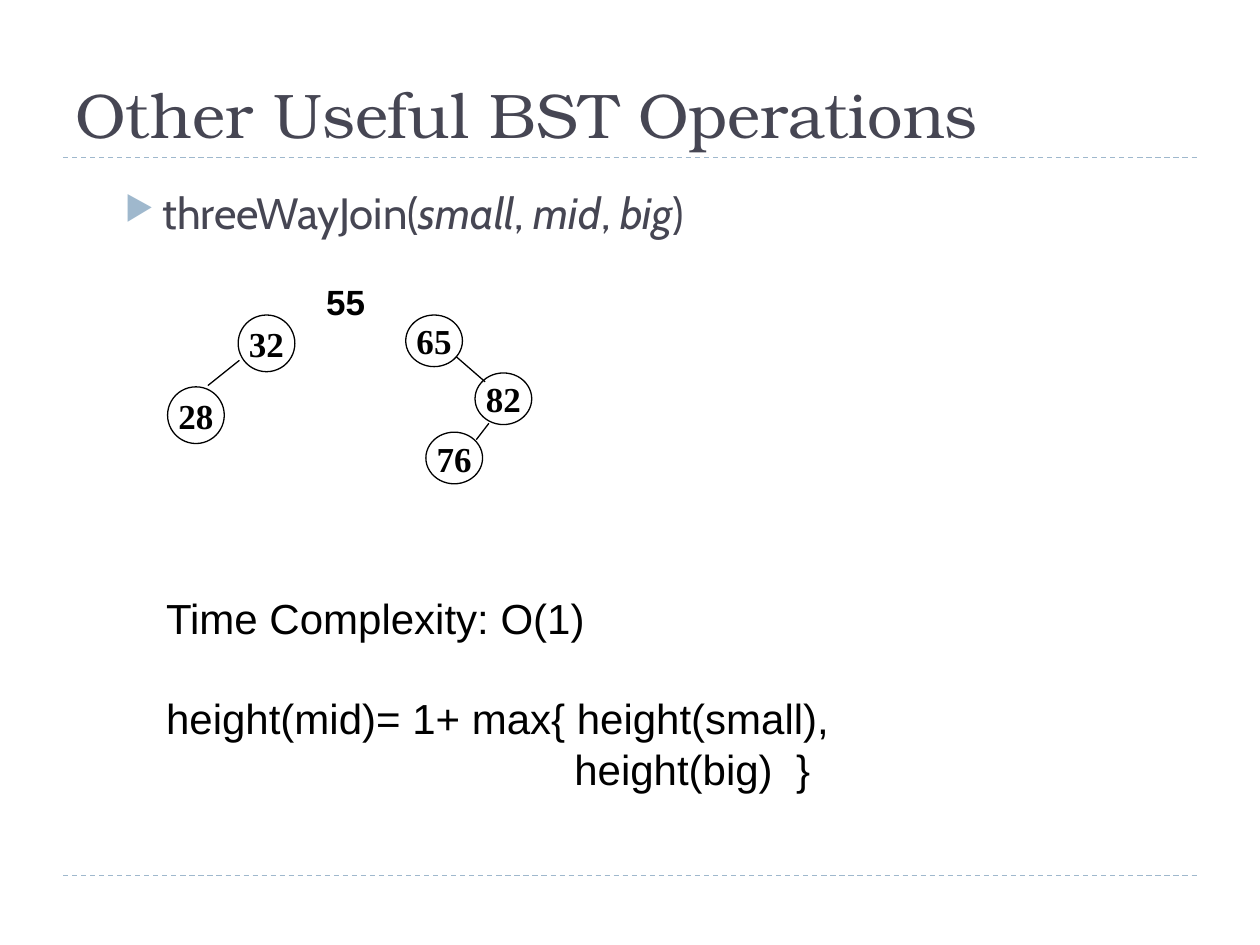
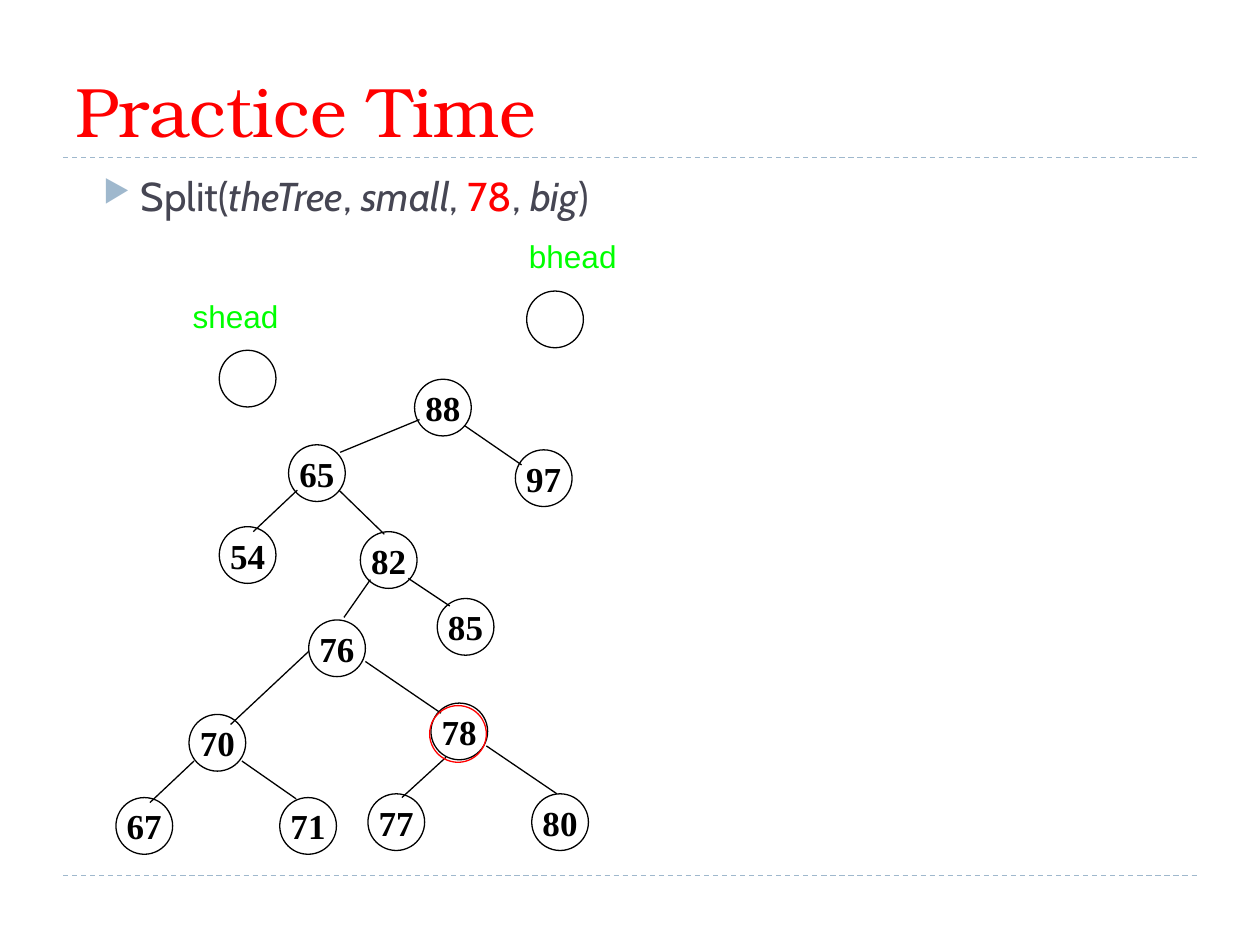
from typing import NamedTuple

from lxml.etree import SubElement as Sub
from pptx import Presentation
from pptx.dml.color import RGBColor as Rgb
from pptx.enum.dml import MSO_LINE as Dash
from pptx.enum.shapes import MSO_CONNECTOR as Link, MSO_SHAPE as Form
from pptx.enum.text import MSO_ANCHOR as Anchor, PP_ALIGN as Align
from pptx.oxml.ns import qn
from pptx.util import Inches, Pt

COLORS = {
    "ink": "464653",
    "rule": "9FB8CD",
    "black": "000000",
    "red": "FF0000",
    "green": "00FF00",
}
SERIF, SANS, PLAIN, ROMAN = "TeX Gyre Bonum", "Cabin", "Arial", "Times New Roman"
SIDE = 0.45


class Node(NamedTuple):
    label: str
    x: float
    y: float
    high: float = SIDE
    color: str = "black"


class Edge(NamedTuple):
    x1: float
    y1: float
    x2: float
    y2: float


class Label(NamedTuple):
    text: str
    x: float
    y: float
    wide: float
    high: float


SMALL = (
    [Node("32", 1.89, 2.5), Node("28", 1.33, 3.07)],
    [Edge(1.9, 2.86, 1.65, 3.06)],
)
BIG = (
    [Node("65", 3.22, 2.5, 0.41), Node("76", 3.38, 3.43, 0.41),
     Node("82", 3.77, 2.96, 0.41)],
    [Edge(3.62, 2.83, 3.85, 3.03), Edge(3.88, 3.36, 3.78, 3.49)],
)
SPLIT = (
    [Node("", 4.18, 2.31), Node("", 1.74, 2.78),
     Node("88", 3.29, 3.01), Node("65", 2.29, 3.53), Node("97", 4.09, 3.57),
     Node("54", 1.74, 4.18), Node("82", 2.86, 4.22), Node("85", 3.47, 4.75),
     Node("76", 2.45, 4.92), Node("78", 3.42, 5.58), Node("70", 1.5, 5.67),
     Node("67", 0.92, 6.33), Node("71", 2.22, 6.33),
     Node("77", 2.92, 6.3), Node("80", 4.22, 6.3),
     Node("", 3.41, 5.6, color="red")],
    [Edge(3.33, 3.33, 2.7, 3.59), Edge(3.69, 3.38, 4.14, 3.69),
     Edge(2.69, 3.89, 3.05, 4.24), Edge(2.36, 3.89, 2.01, 4.22),
     Edge(2.94, 4.6, 2.73, 4.9), Edge(3.24, 4.59, 3.57, 4.81),
     Edge(2.9, 5.25, 3.5, 5.66), Edge(2.45, 5.17, 1.83, 5.75),
     Edge(1.92, 6.04, 2.35, 6.34), Edge(1.54, 6.04, 1.19, 6.37),
     Edge(3.86, 5.92, 4.42, 6.3), Edge(3.54, 6.01, 3.19, 6.33)],
)
HEADS = [Label("bhead", 4.1, 1.83, 0.9, 0.4), Label("shead", 1.43, 2.31, 0.89, 0.41)]


def tint(name: str) -> Rgb:
    return Rgb.from_string(COLORS[name])


def write(para, text: str, *, font: str = PLAIN, size: float = 24,
          color: str = "black", bold: bool = False) -> None:
    """Asterisks enclose italic text, carets enclose red text."""
    for i, piece in enumerate(text.split("*")):
        for j, bit in enumerate(piece.split("^")):
            if bit:
                run = para.add_run()
                run.text = bit
                run.font.name = font
                run.font.size = Pt(size)
                run.font.bold = bold
                run.font.italic = i % 2 == 1
                run.font.color.rgb = tint("red" if j % 2 else color)


def add_box(shapes, x: float, y: float, wide: float, high: float, wrap: bool = True):
    frame = shapes.add_textbox(
        Inches(x), Inches(y), Inches(wide), Inches(high)).text_frame
    frame.word_wrap = wrap
    return frame


def add_line(shapes, edge: Edge, color: str = "black", dashed: bool = False) -> None:
    line = shapes.add_connector(Link.STRAIGHT, *map(Inches, edge))
    line.line.color.rgb = tint(color)
    line.line.width = Pt(0.75)
    if dashed:
        line.line.dash_style = Dash.DASH
    Sub(line._element.spPr, qn("a:effectLst"))


def add_node(shapes, node: Node) -> None:
    oval = shapes.add_shape(Form.OVAL, Inches(node.x), Inches(node.y),
                            Inches(SIDE), Inches(node.high))
    oval.shadow.inherit = False
    oval.fill.background()
    oval.line.color.rgb = tint(node.color)
    oval.line.width = Pt(0.75)
    if node.label:
        frame = oval.text_frame
        frame.word_wrap = False
        frame.vertical_anchor = Anchor.MIDDLE
        para = frame.paragraphs[0]
        para.alignment = Align.CENTER
        write(para, node.label, font=ROMAN, size=20, bold=True)


def add_tree(slide, nodes: list[Node], edges: list[Edge]):
    group = slide.shapes.add_group_shape()
    for edge in edges:
        add_line(group.shapes, edge)
    for node in nodes:
        add_node(group.shapes, node)
    return group


def add_title(slide, text: str, size: float, color: str) -> None:
    frame = add_box(slide.shapes, 0.5, 0.13, 8.25, 1.12)
    frame.vertical_anchor = Anchor.BOTTOM
    write(frame.paragraphs[0], text, font=SERIF, size=size, color=color)


def add_bullet(slide, text: str, x: float, y: float, high: float,
               size: float, lead: float = 1) -> None:
    para = add_box(slide.shapes, x, y, 9, high).paragraphs[0]
    para.space_before = Pt(5)
    para.line_spacing = lead
    props = para._p.get_or_add_pPr()
    props.set("marL", str(Inches(0.6)))
    props.set("indent", str(Inches(-0.3)))
    Sub(Sub(props, qn("a:buClr")), qn("a:srgbClr"), val=COLORS["rule"])
    Sub(props, qn("a:buSzPct"), val="76000")
    Sub(props, qn("a:buChar"), char="▶")
    write(para, text, font=SANS, size=size, color="ink")


def add_page(deck, title: str, size: float, color: str):
    slide = deck.slides.add_slide(deck.slide_layouts[6])
    for y in (6.95, 1.25):
        add_line(slide.shapes, Edge(0.5, y, 9.5, y), "rule", True)
    add_title(slide, title, size, color)
    return slide


def draw_join(deck) -> None:
    slide = add_page(deck, "Other Useful BST Operations", 36, "ink")
    add_bullet(slide, "threeWayJoin(*small*, *mid*, *big*)", 0.59, 1.47, 5.67, 25, 0.9)
    for tree in (SMALL, BIG):
        add_tree(slide, *tree)
    mid = add_box(slide.shapes, 2.49, 2.18, 0.51, 0.43, False)
    write(mid.paragraphs[0], "55", size=20, bold=True)
    cost = add_box(slide.shapes, 1.22, 4.65, 6, 1.72)
    rows = [("Time Complexity: O(1)", 0, 0),
            ("height(mid)= 1+ max{ height(small),", 28.8, 0),
            ("height(big)  }", 0, 3.24)]
    for i, (text, gap, indent) in enumerate(rows):
        para = cost.add_paragraph() if i else cost.paragraphs[0]
        para.line_spacing = Pt(28.8)
        para.space_before = Pt(gap)
        para._p.get_or_add_pPr().set("marL", str(Inches(indent)))
        write(para, text)


def draw_split(deck) -> None:
    slide = add_page(deck, "Practice Time", 40, "red")
    add_bullet(slide, "Split(*theTree*, *small*, ^78^, *big*)", 0.42, 1.31, 0.88, 23)
    group = add_tree(slide, *SPLIT)
    for text, *place in HEADS:
        frame = add_box(group.shapes, *place, wrap=False)
        write(frame.paragraphs[0], text, size=18, color="green")


def main() -> None:
    deck = Presentation()
    deck.slide_width, deck.slide_height = Inches(10), Inches(7.5)
    draw_join(deck)
    draw_split(deck)
    deck.save("out.pptx")


if __name__ == "__main__":
    main()
